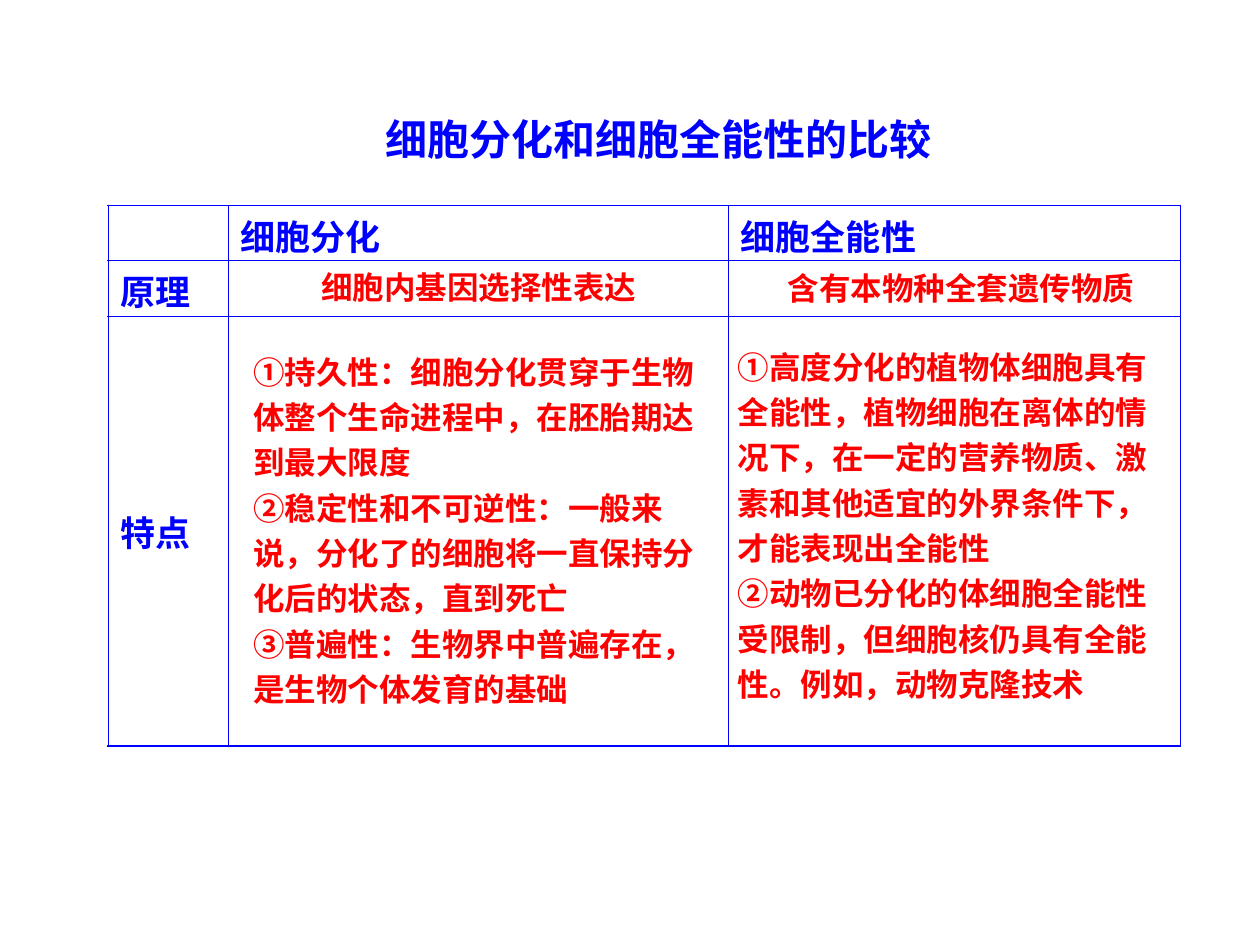
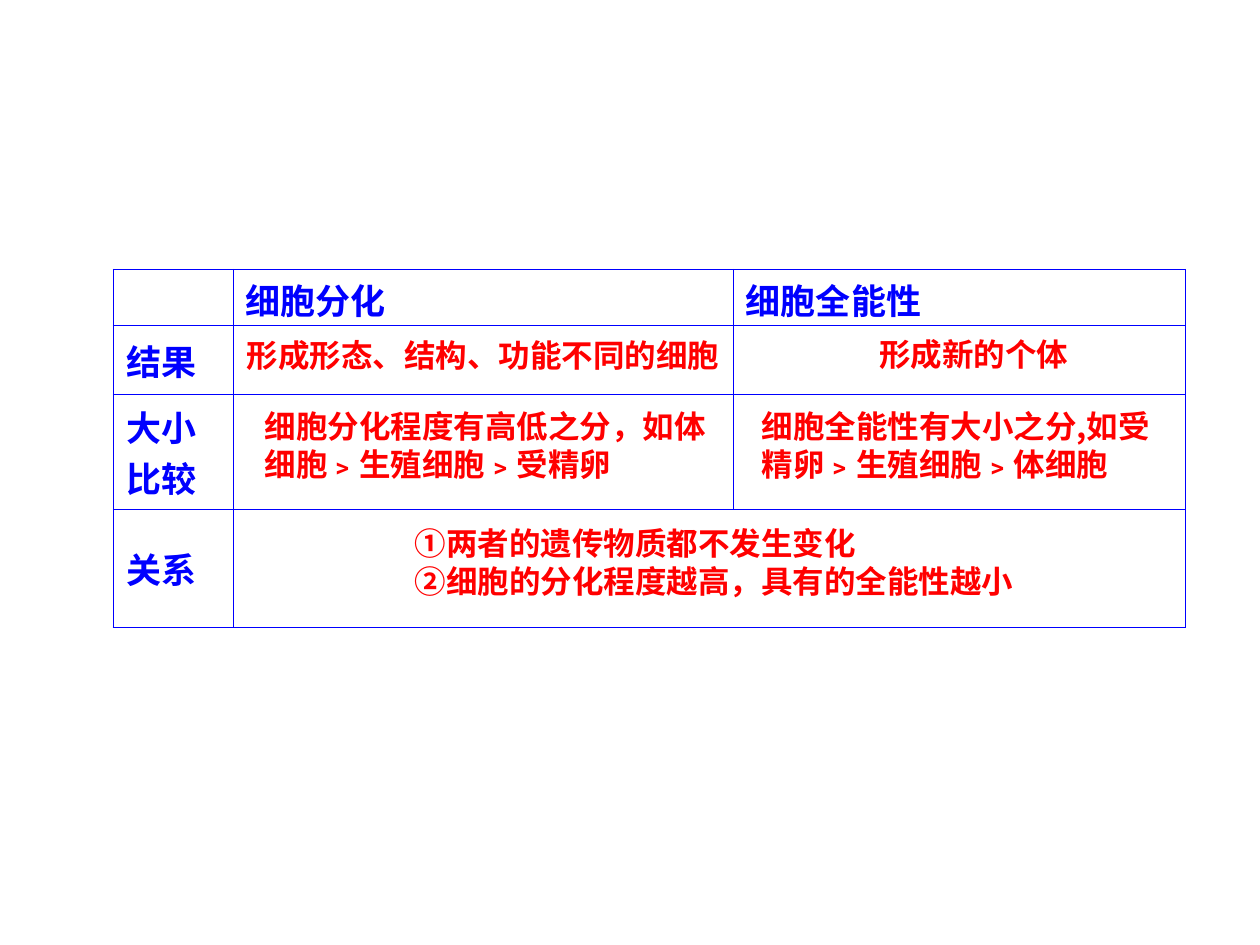
from pptx import Presentation
from pptx.dml.color import RGBColor
from pptx.enum import text
from pptx.oxml import ns
from pptx.util import Inches, Pt
from lxml import etree

BLUE = RGBColor(0x00, 0x00, 0xFF)
RED = RGBColor(0xFF, 0x00, 0x00)
CJK_FONT = "Noto Sans CJK SC"
LATIN_FONT = "Times New Roman"
OUTER, INNER = Pt(1.1), Pt(0.45)
COLUMN_WIDTHS = (0.95, 3.97, 3.59)
HEADINGS = ("", "细胞分化", "细胞全能性")
LEFT, CENTER = text.PP_ALIGN.LEFT, text.PP_ALIGN.CENTER
LOOSE, SINGLE = 1.2, 1.0


def format_frame(frame, size, color, align=LEFT, spacing=SINGLE, latin=CJK_FONT):
    for para in frame.paragraphs:
        para.alignment = align
        para.line_spacing = spacing
        # Punctuation stays inside the right edge
        para._p.get_or_add_pPr().set("hangingPunct", "0")
        for span in para.runs:
            font = span.font
            font.name, font.size, font.bold = latin, Pt(size), True
            font.color.rgb = color
            east_asian = etree.SubElement(span._r.get_or_add_rPr(), ns.qn("a:ea"))
            east_asian.set("typeface", CJK_FONT)


def set_up_frame(frame, wrap=True):
    frame.auto_size = text.MSO_AUTO_SIZE.NONE
    frame.word_wrap = wrap
    frame.vertical_anchor = text.MSO_ANCHOR.TOP
    frame.margin_left = frame.margin_right = Inches(0.1)
    frame.margin_top = frame.margin_bottom = Inches(0.05)
    # The block of lines is centred in the box
    frame._txBody.bodyPr.set("anchorCtr", "1")


def add_title(page, box, words):
    title = page.shapes.title
    title.left, title.top, title.width, title.height = map(Inches, box)
    set_up_frame(title.text_frame)
    title.text_frame.text = words
    format_frame(title.text_frame, 24, BLUE, CENTER, LOOSE)


def add_answer(page, box, lines, align=LEFT, spacing=LOOSE, wrap=True):
    frame = page.shapes.add_textbox(*map(Inches, box)).text_frame
    set_up_frame(frame, wrap)
    frame.text = "\n".join(lines)
    format_frame(frame, 18, RED, align, spacing)


def set_borders(cell, widths):
    properties = cell._tc.get_or_add_tcPr()
    for side, width in zip("LRTB", widths):
        line = etree.SubElement(properties, ns.qn(f"a:ln{side}"), w=str(int(width)))
        fill = etree.SubElement(line, ns.qn("a:solidFill"))
        etree.SubElement(fill, ns.qn("a:srgbClr"), val=str(BLUE))


def add_comparison_table(page, left, top, heights, labels, latin=CJK_FONT):
    """Grid with headings across the top and row labels down the left."""
    row_count, column_count = len(heights), len(COLUMN_WIDTHS)
    table = page.shapes.add_table(
        row_count, column_count, Inches(left), Inches(top),
        Inches(sum(COLUMN_WIDTHS)), Inches(sum(heights))).table
    table.first_row = table.horz_banding = False
    for column, width in zip(table.columns, COLUMN_WIDTHS):
        column.width = Inches(width)

    for i, height in enumerate(heights):
        table.rows[i].height = Inches(height)
        # Low rows have little room above and none below the text
        above, below = (0.03, 0) if height < 0.5 else (0.05, 0.05)
        for j in range(column_count):
            cell = table.cell(i, j)
            edges = (j == 0, j == column_count - 1, i == 0, i == row_count - 1)
            set_borders(cell, [OUTER if edge else INNER for edge in edges])
            cell.fill.background()
            cell.vertical_anchor = text.MSO_ANCHOR.MIDDLE
            cell.margin_left = cell.margin_right = Inches(0.1)
            cell.margin_top, cell.margin_bottom = Inches(above), Inches(below)
            words = HEADINGS[j] if i == 0 else labels[i - 1] if j == 0 else ""
            if words:
                cell.text_frame.text = words
                format_frame(cell.text_frame, 20, BLUE, latin=latin)
    return table


def build_principle_page(deck):
    page = deck.slides.add_slide(deck.slide_layouts[5])
    add_title(page, (2.05, 0.77, 6.35, 0.58), "细胞分化和细胞全能性的比较")
    add_comparison_table(page, 0.86, 1.63, (0.44, 0.44, 3.41),
                         ("原理", "特点"), LATIN_FONT)
    # Principles
    add_answer(page, (2.45, 2.02, 2.7, 0.46), ["细胞内基因选择性表达"], CENTER, wrap=False)
    add_answer(page, (6.15, 2.03, 2.95, 0.46), ["含有本物种全套遗传物质"], CENTER, wrap=False)
    # Features
    add_answer(page, (1.81, 2.69, 3.9, 2.98), [
        "①持久性：细胞分化贯穿于生物",
        "体整个生命进程中，在胚胎期达",
        "到最大限度",
        "②稳定性和不可逆性：一般来说，分化了的细胞将一直保持分化后的状态，直到死亡",
        "③普遍性：生物界中普遍存在，是生物个体发育的基础"])
    add_answer(page, (5.67, 2.65, 3.62, 2.98), [
        "①高度分化的植物体细胞具有",
        "全能性，植物细胞在离体的情况下，在一定的营养物质、激素和其他适宜的外界条件下，才能表现出全能性",
        "②动物已分化的体细胞全能性",
        "受限制，但细胞核仍具有全能性。例如，动物克隆技术"])


def build_result_page(deck):
    page = deck.slides.add_slide(deck.slide_layouts[6])
    table = add_comparison_table(page, 0.9, 2.14, (0.44, 0.55, 0.91, 0.94),
                                 ("结果", "大小比较", "关系"))
    table.cell(3, 1).merge(table.cell(3, 2))
    # Results
    add_answer(page, (1.86, 2.62, 3.95, 0.4), ["形成形态、结构、功能不同的细胞"],
               CENTER, SINGLE, wrap=False)
    add_answer(page, (6.88, 2.61, 1.7, 0.4), ["形成新的个体"], CENTER, SINGLE, wrap=False)
    # Degrees compared
    add_answer(page, (2, 3.18, 3.7, 0.7),
               ["细胞分化程度有高低之分，如体", "细胞﹥生殖细胞﹥受精卵"],
               spacing=SINGLE, wrap=False)
    add_answer(page, (5.6, 3.18, 3.97, 0.7),
               ["细胞全能性有大小之分,如受", "精卵﹥生殖细胞﹥体细胞"], spacing=SINGLE)
    # Relation
    add_answer(page, (2.91, 4.11, 5.51, 0.7),
               ["①两者的遗传物质都不发生变化", "②细胞的分化程度越高，具有的全能性越小"],
               spacing=SINGLE)


def main():
    deck = Presentation()
    deck.slide_width, deck.slide_height = Inches(10), Inches(7.5)
    build_principle_page(deck)
    build_result_page(deck)
    deck.save("out.pptx")


if __name__ == "__main__":
    main()
